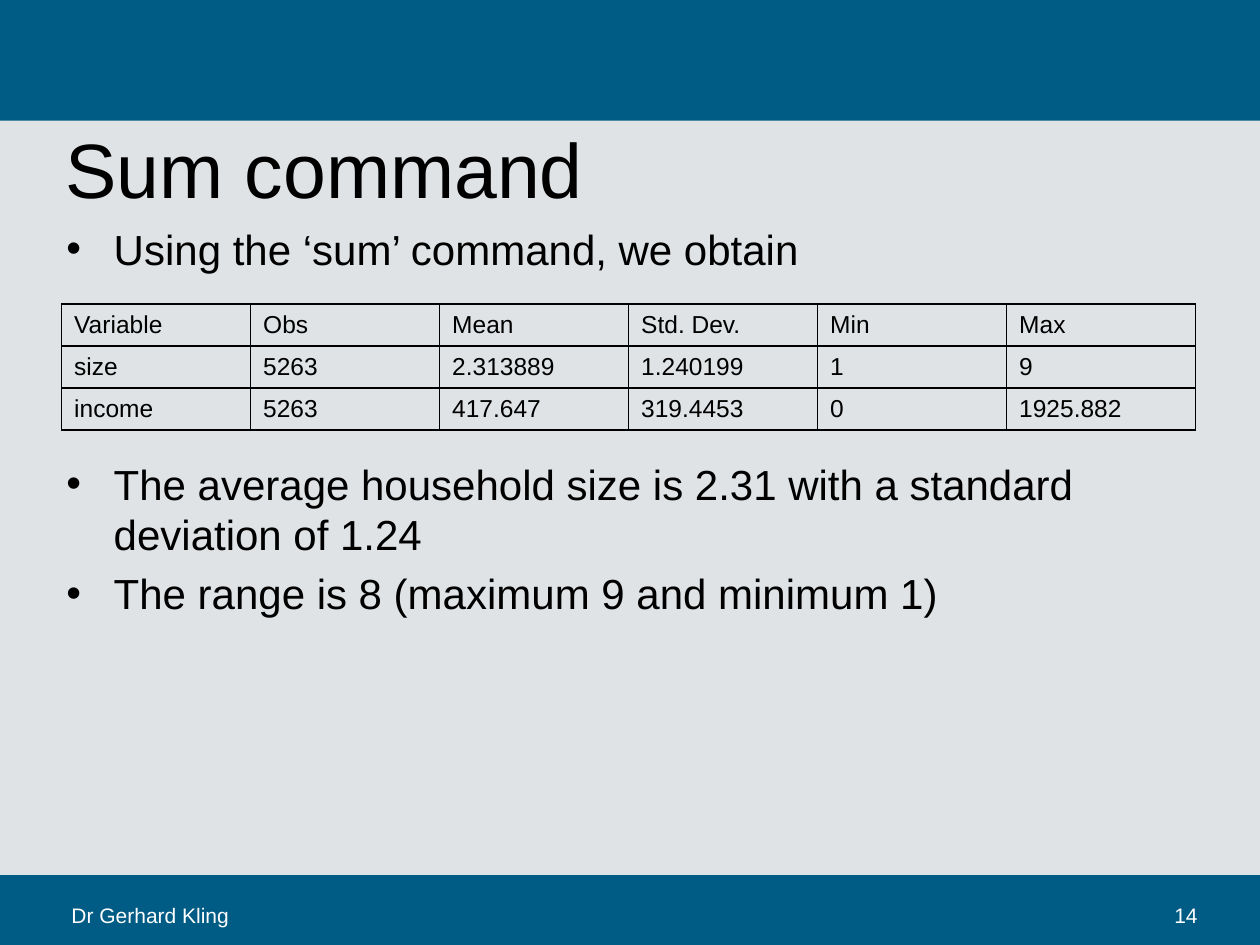
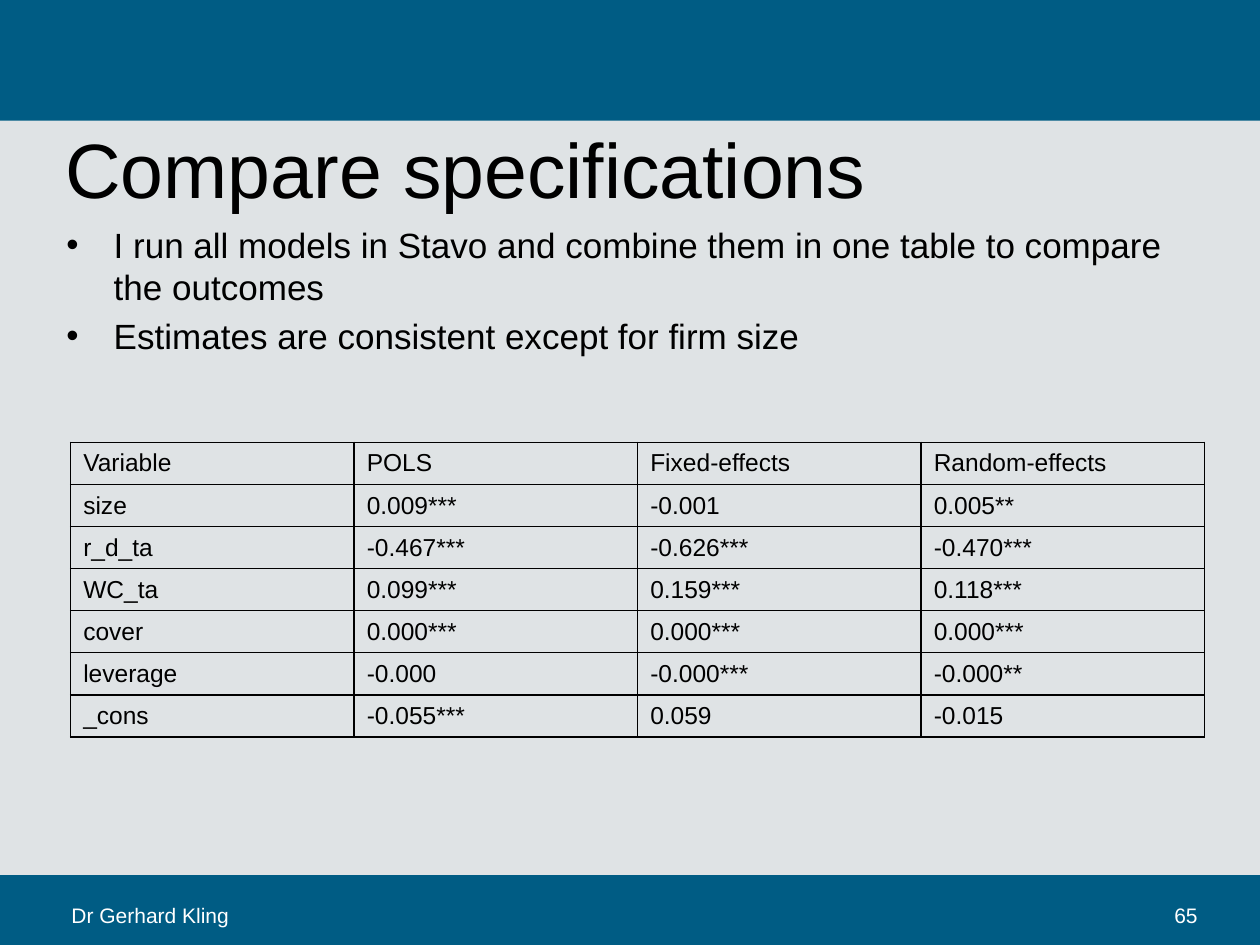
from dataclasses import dataclass

from lxml import etree
from pptx import Presentation
from pptx.dml.color import RGBColor
from pptx.enum.shapes import MSO_SHAPE
from pptx.enum.text import MSO_ANCHOR, MSO_AUTO_SIZE, PP_ALIGN
from pptx.oxml.ns import qn
from pptx.presentation import Presentation as Deck
from pptx.slide import Slide
from pptx.table import _Cell as Cell
from pptx.text.text import TextFrame, _Paragraph as Paragraph
from pptx.util import Pt

RECTANGLE = MSO_SHAPE.RECTANGLE
MIDDLE = MSO_ANCHOR.MIDDLE
NO_AUTOFIT = MSO_AUTO_SIZE.NONE
LEFT = PP_ALIGN.LEFT
TITLE_ONLY = 5


@dataclass(frozen=True)
class Theme:
    background: RGBColor = RGBColor(0xDF, 0xE3, 0xE5)
    band: RGBColor = RGBColor(0x00, 0x5C, 0x84)
    ink: RGBColor = RGBColor(0x00, 0x00, 0x00)
    footer_ink: RGBColor = RGBColor(0xFF, 0xFF, 0xFF)
    font: str = "Arial"
    title_size: float = 44
    table_size: float = 14
    footer_size: float = 12
    paragraph_gap: float = 0.2  # share of the type size


@dataclass(frozen=True)
class Box:
    left: float
    top: float
    width: float
    height: float

    def lengths(self) -> tuple[Pt, Pt, Pt, Pt]:
        return Pt(self.left), Pt(self.top), Pt(self.width), Pt(self.height)


@dataclass(frozen=True)
class Bullet:
    text: str
    skipped_lines: int = 0


@dataclass(frozen=True)
class TableSlide:
    title: str
    number: int
    bullet_size: float
    bullets: list[Bullet]
    table_left: float
    table_top: float
    rows: list[list[str]]


THEME = Theme()
SLIDE_WIDTH, SLIDE_HEIGHT = 720, 540
CONTENT_WIDTH = 648
ROW_HEIGHT = 24
LINE_HEIGHT = 1.2
BULLET_INDENT = 27
BANDS = [Box(0, 0, SLIDE_WIDTH, 69), Box(0, 500, SLIDE_WIDTH, 40)]
TITLE_BOX = Box(35.3, 73.5, CONTENT_WIDTH, 44.6)
BODY_BOX = Box(36, 126, CONTENT_WIDTH, 356.4)
AUTHOR_BOX = Box(33.8, 512, 236, 21.6)
NUMBER_BOX = Box(664, 512, 50, 21.6)
AUTHOR = "Dr Gerhard Kling"

SLIDES = [
    TableSlide(
        title="Sum command",
        number=14,
        bullet_size=24,
        bullets=[
            Bullet("Using the ‘sum’ command, we obtain"),
            Bullet("The average household size is 2.31 with a standard deviation of 1.24",
                   skipped_lines=3),
            Bullet("The range is 8 (maximum 9 and minimum 1)"),
        ],
        table_left=35.2,
        table_top=173.6,
        rows=[
            ["Variable", "Obs", "Mean", "Std. Dev.", "Min", "Max"],
            ["size", "5263", "2.313889", "1.240199", "1", "9"],
            ["income", "5263", "417.647", "319.4453", "0", "1925.882"],
        ],
    ),
    TableSlide(
        title="Compare specifications",
        number=65,
        bullet_size=20,
        bullets=[
            Bullet("I run all models in Stavo and combine them in one table "
                   "to compare the outcomes"),
            Bullet("Estimates are consistent except for firm size"),
        ],
        table_left=40.4,
        table_top=252.8,
        rows=[
            ["Variable", "POLS", "Fixed-effects", "Random-effects"],
            ["size", "0.009***", "-0.001", "0.005**"],
            ["r_d_ta", "-0.467***", "-0.626***", "-0.470***"],
            ["WC_ta", "0.099***", "0.159***", "0.118***"],
            ["cover", "0.000***", "0.000***", "0.000***"],
            ["leverage", "-0.000", "-0.000***", "-0.000**"],
            ["_cons", "-0.055***", "0.059", "-0.015"],
        ],
    ),
]


def write_text(paragraph: Paragraph, text: str, *, size: float,
               color: RGBColor = THEME.ink, space_before: float = 0) -> None:
    paragraph.alignment = LEFT
    paragraph.space_before = Pt(space_before)
    run = paragraph.add_run()
    run.text = text
    run.font.name = THEME.font
    run.font.size = Pt(size)
    run.font.bold = False
    run.font.color.rgb = color


def set_tight_frame(frame: TextFrame) -> None:
    """Give the title and body frames their narrow margins and fixed size."""
    frame.word_wrap = True
    frame.auto_size = NO_AUTOFIT
    frame.margin_left = frame.margin_right = Pt(2)
    frame.margin_top = frame.margin_bottom = Pt(1.5)


def add_bands(slide: Slide) -> None:
    for box in BANDS:
        band = slide.shapes.add_shape(RECTANGLE, *box.lengths())
        band.shadow.inherit = False
        band.fill.solid()
        band.fill.fore_color.rgb = THEME.band
        band.line.fill.background()


def format_title(slide: Slide, text: str) -> None:
    title = slide.shapes.title
    title.left, title.top, title.width, title.height = TITLE_BOX.lengths()
    set_tight_frame(title.text_frame)
    title.text_frame.vertical_anchor = MIDDLE
    write_text(title.text_frame.paragraphs[0], text, size=THEME.title_size)


def add_footer_text(slide: Slide, box: Box, text: str) -> None:
    frame = slide.shapes.add_textbox(*box.lengths()).text_frame
    frame.word_wrap = True
    write_text(frame.paragraphs[0], text, size=THEME.footer_size, color=THEME.footer_ink)


def set_bullet(paragraph: Paragraph) -> None:
    properties = paragraph._p.get_or_add_pPr()
    properties.set("marL", str(Pt(BULLET_INDENT)))
    properties.set("indent", str(-Pt(BULLET_INDENT)))
    etree.SubElement(properties, qn("a:buFont"), typeface=THEME.font)
    etree.SubElement(properties, qn("a:buChar"), char="•")


def add_bullets(slide: Slide, bullets: list[Bullet], size: float) -> None:
    frame = slide.shapes.add_textbox(*BODY_BOX.lengths()).text_frame
    set_tight_frame(frame)
    gap = size * THEME.paragraph_gap
    for index, bullet in enumerate(bullets):
        paragraph = frame.add_paragraph() if index else frame.paragraphs[0]
        skipped = bullet.skipped_lines * (size * LINE_HEIGHT + gap)
        write_text(paragraph, bullet.text, size=size, space_before=gap + skipped)
        set_bullet(paragraph)


def set_borders(cell: Cell) -> None:
    properties = cell._tc.get_or_add_tcPr()
    for side in ("lnL", "lnR", "lnT", "lnB"):
        line = etree.SubElement(properties, qn(f"a:{side}"), w=str(Pt(1)))
        fill = etree.SubElement(line, qn("a:solidFill"))
        etree.SubElement(fill, qn("a:srgbClr"), val=str(THEME.ink))


def add_grid_table(slide: Slide, left: float, top: float, rows: list[list[str]]) -> None:
    box = Box(left, top, CONTENT_WIDTH, ROW_HEIGHT * len(rows))
    table = slide.shapes.add_table(len(rows), len(rows[0]), *box.lengths()).table
    table.first_row = table.horz_banding = False
    for row_index, row in enumerate(rows):
        for column_index, text in enumerate(row):
            cell = table.cell(row_index, column_index)
            set_borders(cell)
            cell.fill.background()
            cell.vertical_anchor = MIDDLE
            write_text(cell.text_frame.paragraphs[0], text, size=THEME.table_size)


def build_slide(presentation: Deck, content: TableSlide) -> None:
    slide = presentation.slides.add_slide(presentation.slide_layouts[TITLE_ONLY])
    add_bands(slide)
    format_title(slide, content.title)
    add_bullets(slide, content.bullets, content.bullet_size)
    add_footer_text(slide, AUTHOR_BOX, AUTHOR)
    add_footer_text(slide, NUMBER_BOX, str(content.number))
    add_grid_table(slide, content.table_left, content.table_top, content.rows)


def main() -> None:
    presentation = Presentation()
    presentation.slide_width = Pt(SLIDE_WIDTH)
    presentation.slide_height = Pt(SLIDE_HEIGHT)
    background = presentation.slide_master.background.fill
    background.solid()
    background.fore_color.rgb = THEME.background
    for content in SLIDES:
        build_slide(presentation, content)
    presentation.save("out.pptx")


if __name__ == "__main__":
    main()
